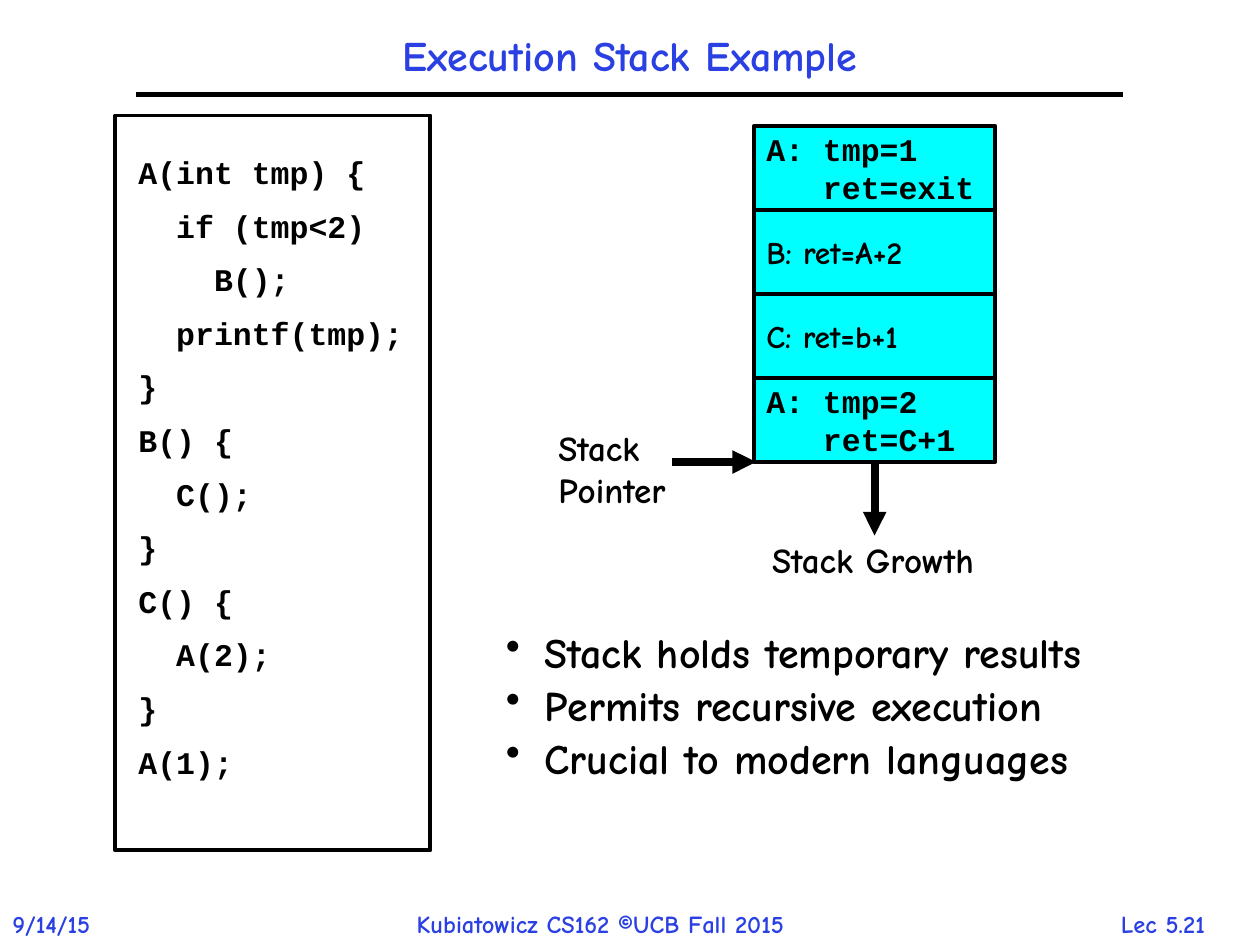
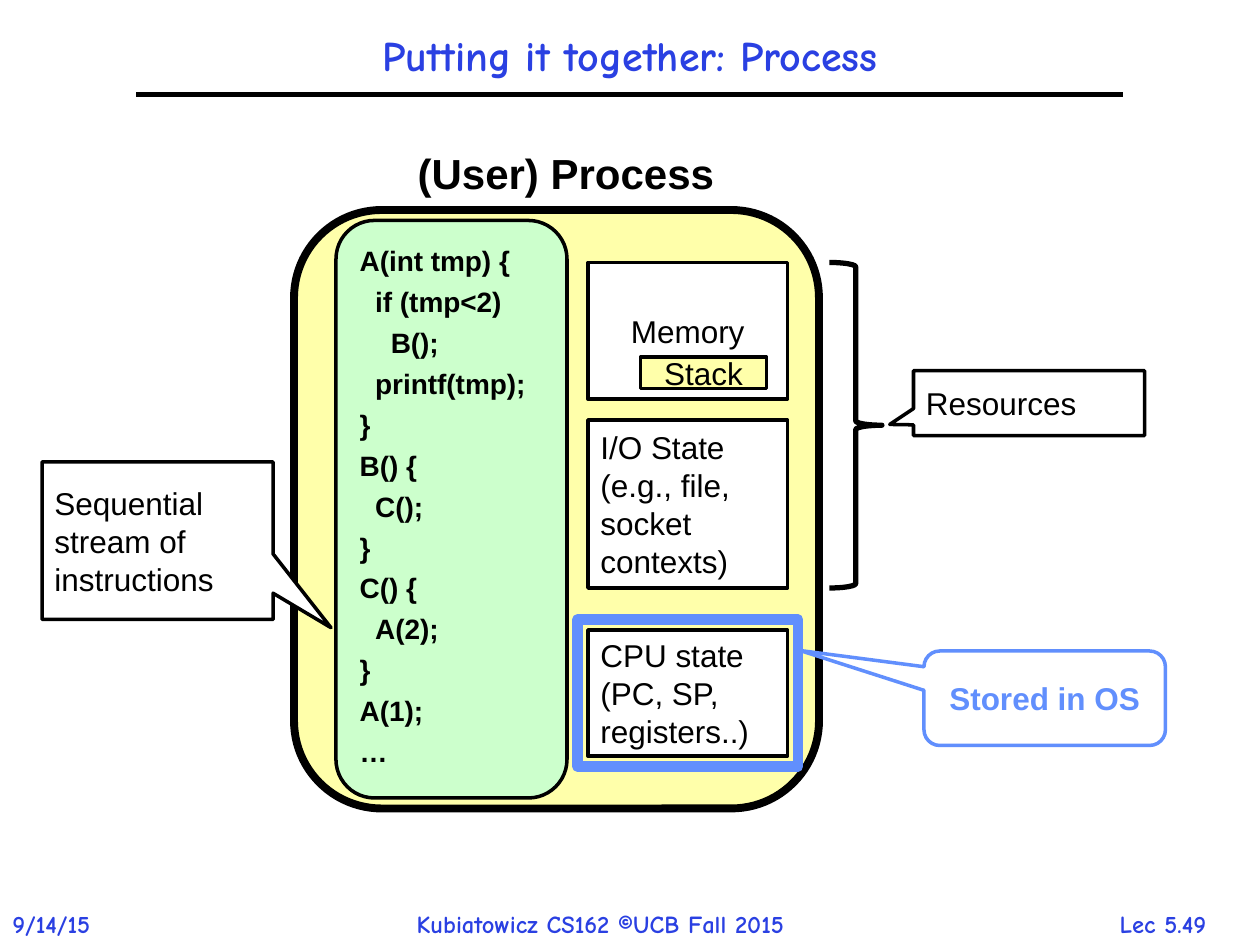
from lxml import etree
from pptx import Presentation
from pptx.dml.color import RGBColor
from pptx.enum.shapes import MSO_CONNECTOR, MSO_SHAPE
from pptx.enum.text import MSO_ANCHOR, PP_ALIGN
from pptx.oxml.ns import qn
from pptx.util import Emu, Pt

PX = 7620  # 120 px to the inch
LEFT, CENTER = PP_ALIGN.LEFT, PP_ALIGN.CENTER
TOP, MIDDLE = MSO_ANCHOR.TOP, MSO_ANCHOR.MIDDLE
STRAIGHT = MSO_CONNECTOR.STRAIGHT
RECT, ROUND = MSO_SHAPE.RECTANGLE, MSO_SHAPE.ROUNDED_RECTANGLE
BRACE = MSO_SHAPE.RIGHT_BRACE
NOTE = MSO_SHAPE.RECTANGULAR_CALLOUT
BUBBLE = MSO_SHAPE.ROUNDED_RECTANGULAR_CALLOUT

COMIC, MONO, SANS = "Comic Neue", "Courier New", "Arial"
BLACK, WHITE, BLUE = "000000", "FFFFFF", "2A40E2"
CYAN, CREAM, MINT, SKY = "00FFFF", "FFFFAA", "CCFFCC", "618FFD"

# Program lines with their depth of indent
CODE = [(0, "A(int tmp) {"), (1, "if (tmp<2)"), (2, "B();"),
        (1, "printf(tmp);"), (0, "}"), (0, "B() {"), (1, "C();"), (0, "}"),
        (0, "C() {"), (1, "A(2);"), (0, "}"), (0, "A(1);")]


def px(*nums):
    return [Emu(round(n * PX)) for n in nums]


def color(code):
    return RGBColor.from_string(code)


def write(shape, lines, size, font=COMIC, bold=True, ink=BLACK, align=LEFT,
          anchor=TOP, wrap=True, pitch=None, gap=0, step=0, bullet=False):
    """Fill a shape with lines, each a string or a (depth, string) pair."""
    frame = shape.text_frame
    frame.word_wrap, frame.vertical_anchor = wrap, anchor
    for i, line in enumerate(lines):
        depth, words = (0, line) if isinstance(line, str) else line
        para = frame.add_paragraph() if i else frame.paragraphs[0]
        para.text, para.alignment = words, align
        para.line_spacing = pitch
        para.space_before = Pt(gap)
        para.font.name, para.font.size = font, Pt(size)
        para.font.bold, para.font.color.rgb = bold, color(ink)
        props = para._p.get_or_add_pPr()
        if depth:
            props.set("marL", str(Pt(depth * step)))
        if bullet:
            props.set("marL", str(px(37)[0]))
            props.set("indent", str(px(-37)[0]))
            mark = etree.Element(qn("a:buChar"), char="•")
            rest = props.find(qn("a:defRPr"))
            rest.addprevious(mark)


def label(slide, box, lines, size, **style):
    write(slide.shapes.add_textbox(*px(*box)), lines, size, **style)


def block(slide, kind, box, fill=WHITE, line=BLACK, width=2, adjust=()):
    shape = slide.shapes.add_shape(kind, *px(*box))
    shape.shadow.inherit = False
    for i, value in enumerate(adjust):
        shape.adjustments[i] = value
    if fill:
        shape.fill.solid()
        shape.fill.fore_color.rgb = color(fill)
    else:
        shape.fill.background()
    shape.line.color.rgb, shape.line.width = color(line), Pt(width)
    return shape


def stroke(slide, ends, width, arrow=False):
    line = slide.shapes.add_connector(STRAIGHT, *px(*ends))
    line.line.color.rgb, line.line.width = color(BLACK), Pt(width)
    if arrow:
        etree.SubElement(line.line._get_or_add_ln(), qn("a:tailEnd"),
                         type="triangle")
    etree.SubElement(line._element.spPr, qn("a:effectLst"))
    return line


def base(deck, title, number):
    """Add a slide with its title, rule and footers."""
    slide = deck.slides.add_slide(deck.slide_layouts[6])
    label(slide, (130, 20, 940, 70), [title], 24, ink=BLUE, align=CENTER,
          anchor=MIDDLE, pitch=0.9)
    stroke(slide, (130, 90, 1070, 90), 3)
    for x, w, words, align in (
            (0, 120, "9/14/15", LEFT),
            (385, 433, "Kubiatowicz CS162 ©UCB Fall 2015", LEFT),
            (1035, 145, f"Lec {number}", CENTER)):
        label(slide, (x, 860, w, 40), [words], 14, ink=BLUE, align=align,
              wrap=False)
    return slide


def listing(slide, x, y, w, h):
    block(slide, RECT, (x, y, w, h), width=2.25)
    label(slide, (x + 10, y + 30, w - 20, h - 56), CODE, 18, font=MONO,
          gap=9, step=21.6)


def stack(slide, x, y, w, h):
    """Draw the frames, the stack pointer and the growth arrow."""
    calls = [(["A: tmp=1", (1, "ret=exit")], MONO),
             (["B: ret=A+2"], COMIC),
             (["C: ret=b+1"], COMIC),
             (["A: tmp=2", (1, "ret=C+1")], MONO)]
    tall = h // len(calls)
    for i, (lines, font) in enumerate(calls):
        cell = block(slide, RECT, (x, y + i * tall, w, tall), CYAN, width=2.25)
        write(cell, lines, 18, font=font, anchor=MIDDLE, step=32.4)
    end, mid = y + h, x + w // 2

    # Pointer to the end of the stack
    label(slide, (x - 198, end - 40, 137, 92), ["Stack", "Pointer"], 20,
          wrap=False)
    stroke(slide, (x - 78, end, x + 2, end), 4.5, arrow=True)

    # Direction of growth
    grow = stroke(slide, (mid, end, mid, end + 70), 4.5, arrow=True)
    grow.begin_connect(cell, 2)
    label(slide, (mid - 124, end + 67, 245, 52), ["Stack Growth"], 20,
          align=CENTER, wrap=False)


def process(slide, x, y, w, h):
    """Draw the process with its code, memory and state."""
    block(slide, ROUND, (x, y, w, h), CREAM, width=4.5, adjust=[0.167])
    label(slide, (x + 106, y - 65, 307, 61), ["(User) Process"], 24,
          font=SANS, wrap=False)
    parts = [(50, 130, ["Memory"], CENTER),
             (200, 160, ["I/O State", "(e.g., file, socket contexts)"], LEFT),
             (400, 120, ["CPU state (PC, SP, registers..)"], LEFT)]
    for top, tall, lines, align in parts:
        part = block(slide, RECT, (x + 280, y + top, 190, tall))
        write(part, lines, 18, font=SANS, bold=False, align=align,
              anchor=MIDDLE)
    chip = block(slide, RECT, (x + 330, y + 140, 120, 30), CREAM)
    write(chip, ["Stack"], 18, font=SANS, bold=False, align=CENTER,
          anchor=MIDDLE)
    code = block(slide, ROUND, (x + 40, y + 10, 220, h - 20), MINT,
                 adjust=[0.167])
    write(code, CODE + ["…"], 16, font=SANS, anchor=MIDDLE, pitch=0.8,
          gap=8, step=8.9)


def notes(slide, x, y):
    """Place the callouts around a process whose corner is at x, y."""
    for box, adjust, words in (
            ((x - 240, y + 240, 220, 150), [0.751, 0.552],
             "Sequential stream of instructions"),
            ((x + 590, y + 153, 220, 62), [-0.603, 0.327], "Resources")):
        note = block(slide, NOTE, box, adjust=adjust)
        write(note, [words], 18, font=SANS, bold=False, anchor=MIDDLE)
    block(slide, BRACE, (x + 510, y + 50, 50, 310), width=3,
          adjust=[0.083, 0.5])

    # State kept by the system
    block(slide, RECT, (x + 270, y + 390, 210, 140), None, SKY, 6)
    store = block(slide, BUBBLE, (x + 600, y + 420, 230, 90), line=SKY,
                  adjust=[-1.013, -0.505, 0.167])
    write(store, ["Stored in OS"], 18, font=SANS, ink=SKY, align=CENTER,
          anchor=MIDDLE)


def main():
    deck = Presentation()
    deck.slide_width, deck.slide_height = px(1200, 900)

    slide = base(deck, "Execution Stack Example", "5.21")
    listing(slide, 110, 110, 300, 700)
    stack(slide, 718, 120, 230, 320)
    label(slide, (470, 600, 670, 170),
          ["Stack holds temporary results", "Permits recursive execution",
           "Crucial to modern languages"], 24, pitch=0.8, gap=7.3, bullet=True)

    slide = base(deck, "Putting it together: Process", "5.49")
    process(slide, 280, 200, 500, 570)
    notes(slide, 280, 200)

    deck.save("out.pptx")


if __name__ == "__main__":
    main()
